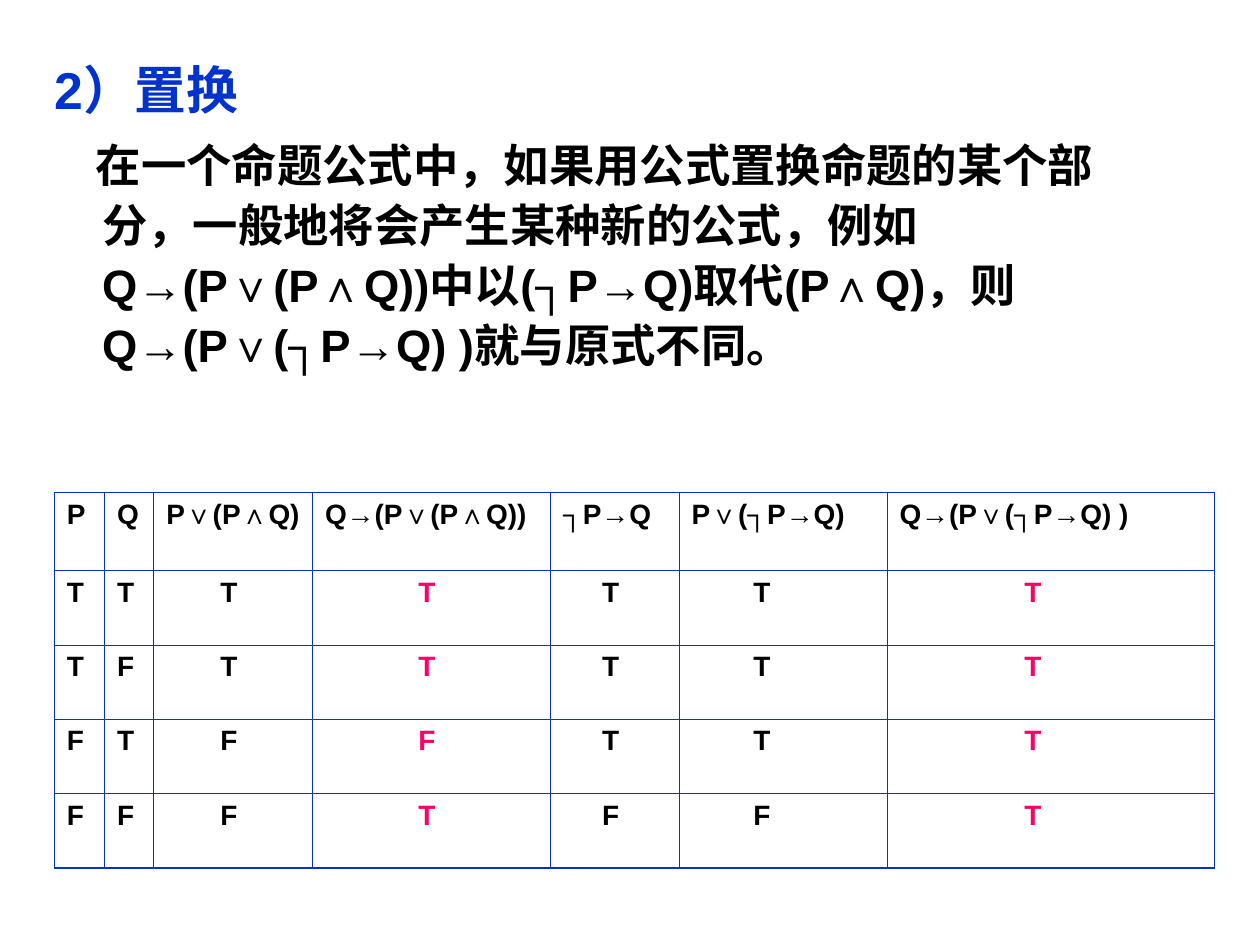
"""Build a slide on replacement in propositional formulas with a truth table."""
from dataclasses import dataclass

from lxml import etree
from pptx import Presentation
from pptx.dml.color import RGBColor
from pptx.enum.text import MSO_AUTO_SIZE, MSO_VERTICAL_ANCHOR
from pptx.oxml.ns import qn
from pptx.util import Inches, Pt

NO_AUTOFIT = MSO_AUTO_SIZE.NONE
TOP = MSO_VERTICAL_ANCHOR.TOP
FONT = "Arial"
BLUE, BLACK, PINK = "0033CC", "000000", "FF0066"
BOTTOM_LINE, THIN_LINE = 1.08, 0.45
HEADING = "2）置换"
EXPLANATION = (
    "在一个命题公式中，如果用公式置换命题的某个部分，一般地将会产生某种新的公式，"
    "例如Q→(P∨(P∧Q))中以(┐P→Q)取代(P∧Q)，则Q→(P∨(┐P→Q) )就与原式不同。"
)


@dataclass
class Column:
    """A truth table column: its formula, values, width and value indent."""
    formula: str
    values: str
    width: float
    indent: float = 0
    color: str = BLACK


COLUMNS = [
    Column("P", "TTFF", 0.4),
    Column("Q", "TFTF", 0.39),
    Column("P∨(P∧Q)", "TTFF", 1.26, 0.43),
    Column("Q→(P∨(P∧Q))", "TTFT", 1.89, 0.74, PINK),
    Column("┐P→Q", "TTTF", 1.02, 0.31),
    Column("P∨(┐P→Q)", "TTTF", 1.65, 0.49),
    Column("Q→(P∨(┐P→Q) )", "TTTT", 2.6, 0.99, PINK),
]
ROW_HEIGHTS = [0.62] + [0.59] * 4


def rgb(color: str) -> RGBColor:
    """Turn a hex string into a colour."""
    return RGBColor.from_string(color)


def format_paragraph(paragraph, size: float, color: str, margin: float = 0, indent: float = 0) -> None:
    """Set the indents, remove the bullet and format the runs."""
    properties = paragraph._p.get_or_add_pPr()
    properties.set("marL", str(Inches(margin)))
    properties.set("indent", str(Inches(indent)))
    etree.SubElement(properties, qn("a:buNone"))
    for run in paragraph.runs:
        run.font.name = FONT
        run.font.size = Pt(size)
        run.font.bold = True
        run.font.color.rgb = rgb(color)


def set_borders(cell, bottom_width: float) -> None:
    """Draw thin cell borders and a bottom border of the given point width."""
    properties = cell._tc.get_or_add_tcPr()
    for side in "LRTB":
        width = bottom_width if side == "B" else THIN_LINE
        line = etree.SubElement(properties, qn(f"a:ln{side}"), w=str(Pt(width)))
        fill = etree.SubElement(line, qn("a:solidFill"))
        etree.SubElement(fill, qn("a:srgbClr"), val=BLUE)


def add_body(slide) -> None:
    """Fill the body placeholder with the heading and the explanation."""
    body = slide.placeholders[1]
    body.left, body.top = Inches(0.33), Inches(0.36)
    body.width, body.height = Inches(8.76), Inches(2.76)
    frame = body.text_frame
    frame.text = f"{HEADING}\n{EXPLANATION}"
    frame.word_wrap = True
    frame.auto_size = NO_AUTOFIT
    frame.vertical_anchor = TOP
    heading, explanation = frame.paragraphs
    format_paragraph(heading, 29.6, BLUE, 0.38, -0.38)
    format_paragraph(explanation, 25.9, BLACK, 0.38, -0.05)
    heading.space_before, explanation.space_before = Pt(0), Pt(7)
    for paragraph in frame.paragraphs:
        paragraph.line_spacing = 1.1


def add_truth_table(slide) -> None:
    """Add the truth table with thin borders and a thicker bottom edge."""
    last_row = len(ROW_HEIGHTS) - 1
    table = slide.shapes.add_table(
        len(ROW_HEIGHTS), len(COLUMNS), Inches(0.43), Inches(3.91),
        Inches(sum(column.width for column in COLUMNS)), Inches(sum(ROW_HEIGHTS)),
    ).table
    table.first_row = table.horz_banding = False
    for row, height in zip(table.rows, ROW_HEIGHTS):
        row.height = Inches(height)
    for column_index, column in enumerate(COLUMNS):
        table.columns[column_index].width = Inches(column.width)
        for row_index, text in enumerate([column.formula, *column.values]):
            cell = table.cell(row_index, column_index)
            cell.text_frame.text = text
            is_header = row_index == 0
            format_paragraph(
                cell.text_frame.paragraphs[0], 16,
                BLACK if is_header else column.color,
                0 if is_header else column.indent,
            )
            set_borders(cell, BOTTOM_LINE if row_index == last_row else THIN_LINE)
            cell.fill.background()


def main() -> None:
    """Create and save the presentation."""
    presentation = Presentation()
    presentation.slide_width, presentation.slide_height = Inches(10), Inches(7.5)
    slide = presentation.slides.add_slide(presentation.slide_layouts[1])
    title = slide.shapes.title
    title._element.getparent().remove(title._element)
    add_body(slide)
    add_truth_table(slide)
    presentation.save("out.pptx")


if __name__ == "__main__":
    main()
